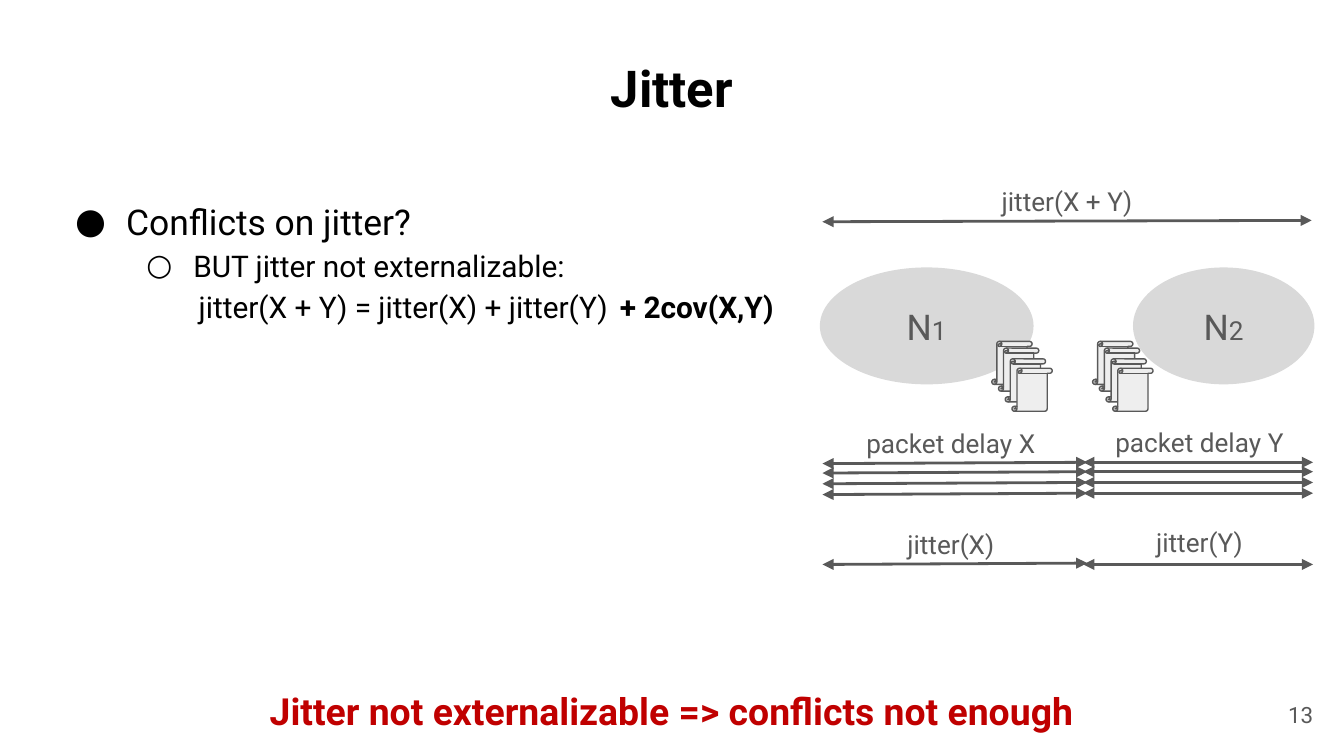
from dataclasses import dataclass

from lxml.etree import SubElement
from pptx import Presentation
from pptx.dml.color import RGBColor
from pptx.enum.shapes import MSO_CONNECTOR, MSO_SHAPE
from pptx.enum.text import MSO_ANCHOR, PP_ALIGN
from pptx.oxml.ns import qn
from pptx.util import Inches, Pt


@dataclass(frozen=True)
class Theme:
    font: str = "Roboto"
    ink: str = "000000"
    gray: str = "595959"
    alert: str = "C00000"
    node: str = "D9D9D9"
    paper: str = "EEEEEE"
    title: float = 27.2
    banner: float = 20
    lead: float = 19
    body: float = 16
    label: float = 14
    page: float = 12


def write(para, text, *, font, size, color, bold=False, align=None):
    """Add one formatted run to a paragraph."""
    if align is not None:
        para.alignment = align
    run = para.add_run()
    run.text = text
    run.font.name = font
    run.font.size = Pt(size)
    run.font.bold = bold
    run.font.color.rgb = RGBColor.from_string(color)


def indent(para, theme, left, hang=0, bullet=None):
    """Set the margin of a paragraph and its bullet, if any."""
    props = para._p.get_or_add_pPr()
    props.set("marL", str(Inches(left)))
    props.set("indent", str(Inches(-hang)))
    if bullet:
        tint = SubElement(props, qn("a:buClr"))
        SubElement(tint, qn("a:srgbClr"), val=theme.ink)
        SubElement(props, qn("a:buFont"), typeface=theme.font)
        SubElement(props, qn("a:buChar"), char=bullet)
    else:
        SubElement(props, qn("a:buNone"))


class Board:
    def __init__(self, slide, theme):
        self.slide = slide
        self.theme = theme

    def frame(self, shape, box, anchor=MSO_ANCHOR.TOP):
        shape.left, shape.top, shape.width, shape.height = map(Inches, box)
        frame = shape.text_frame
        frame.word_wrap = True
        frame.vertical_anchor = anchor
        frame.margin_left = frame.margin_right = Inches(0.1)
        frame.margin_top = frame.margin_bottom = Inches(0.1)
        return frame

    def title(self, text, box):
        frame = self.frame(self.slide.shapes.title, box)
        write(frame.paragraphs[0], text, font=self.theme.font, size=self.theme.title,
              color=self.theme.ink, bold=True, align=PP_ALIGN.CENTER)

    def text(self, box, *runs, color, bold=False, align=PP_ALIGN.CENTER,
             anchor=MSO_ANCHOR.TOP):
        shape = self.slide.shapes.add_textbox(0, 0, 0, 0)
        para = self.frame(shape, box, anchor).paragraphs[0]
        for text, size in runs:
            write(para, text, font=self.theme.font, size=size, color=color,
                  bold=bold, align=align)

    def items(self, box, rows):
        frame = self.frame(self.slide.shapes.add_textbox(0, 0, 0, 0), box)
        for i, (text, size, level, left, hang, bullet) in enumerate(rows):
            para = frame.add_paragraph() if i else frame.paragraphs[0]
            para.level = level
            indent(para, self.theme, left, hang, bullet)
            para.line_spacing = 1.15
            write(para, text, font=self.theme.font, size=size, color=self.theme.ink)

    def shape(self, kind, box, fill, line=None):
        shape = self.slide.shapes.add_shape(kind, *map(Inches, box))
        shape.shadow.inherit = False
        shape.fill.solid()
        shape.fill.fore_color.rgb = RGBColor.from_string(fill)
        if line:
            shape.line.color.rgb = RGBColor.from_string(line)
            shape.line.width = Pt(0.75)
        else:
            shape.line.fill.background()

    def arrow(self, start, end):
        link = self.slide.shapes.add_connector(
            MSO_CONNECTOR.STRAIGHT, *map(Inches, (*start, *end)))
        link.line.color.rgb = RGBColor.from_string(self.theme.gray)
        link.line.width = Pt(1.5)
        stroke = link.line._get_or_add_ln()
        for tip in ("a:headEnd", "a:tailEnd"):
            SubElement(stroke, qn(tip), type="triangle")
        SubElement(link._element.spPr, qn("a:effectLst"))


def main():
    deck = Presentation()
    deck.slide_width = Inches(10)
    deck.slide_height = Inches(10 * 9 / 16)
    theme = Theme()
    board = Board(deck.slides.add_slide(deck.slide_layouts[5]), theme)

    # Title, conclusion and page number
    board.title("Jitter", (0.34, 0.32, 9.32, 0.63))
    board.text((0, 5.02, 10, 0.54),
               ("Jitter not externalizable => conflicts not enough", theme.banner),
               color=theme.alert, bold=True)
    board.text((9.27, 5.1, 0.6, 0.43), ("13", theme.page), color=theme.gray,
               align=PP_ALIGN.RIGHT, anchor=MSO_ANCHOR.MIDDLE)

    # Argument with its formula
    board.items((0.34, 1.34, 5.92, 3.58), [
        ("Conflicts on jitter?", theme.lead, 0, 0.5, 0.38, "●"),
        ("BUT jitter not externalizable:", theme.body, 1, 1, 0.35, "○"),
        ("jitter(X + Y) = jitter(X) + jitter(Y)", theme.body, 1, 1.04, 0, None),
    ])
    board.text((4.2, 2.05, 1.97, 0.47), ("+ 2cov(X,Y)", theme.body),
               color=theme.ink, bold=True)

    # Networks
    for digit, left, width in (("1", 6.1, 1.59), ("2", 8.43, 1.35)):
        board.shape(MSO_SHAPE.OVAL, (left, 1.99, width, 0.87), theme.node)
        board.text((left, 2.17, width, 0.52), ("N", theme.lead),
                   (digit, theme.label), color=theme.gray)

    # Spans: one per network, with four packets and their jitter
    spans = (("X", 6.12, 8.09, 6.09, 1.97, 0.01), ("Y", 8.06, 9.77, 8.09, 1.67, 0))
    for name, start, end, left, width, drop in spans:
        for y in (3.44, 3.51, 3.59, 3.67, 4.2 - drop):
            board.arrow((start, y + drop), (end, y))
        for text, top in ((f"packet delay {name}", 3.07), (f"jitter({name})", 3.82)):
            board.text((left, top + drop, width, 0.44), (text, theme.label),
                       color=theme.gray)

    # Stacks of receipts at the border of each network
    for left in (7.38, 8.13):
        for i, top in enumerate((2.54, 2.59, 2.67, 2.74)):
            board.shape(MSO_SHAPE.VERTICAL_SCROLL,
                        (left + 0.05 * i, top, 0.3, 0.32), theme.paper, theme.gray)

    # Span over both networks
    board.arrow((6.12, 1.65), (9.76, 1.64))
    board.text((6.12, 1.28, 3.64, 0.44), ("jitter(X + Y)", theme.label),
               color=theme.gray)

    deck.save("out.pptx")


if __name__ == "__main__":
    main()
